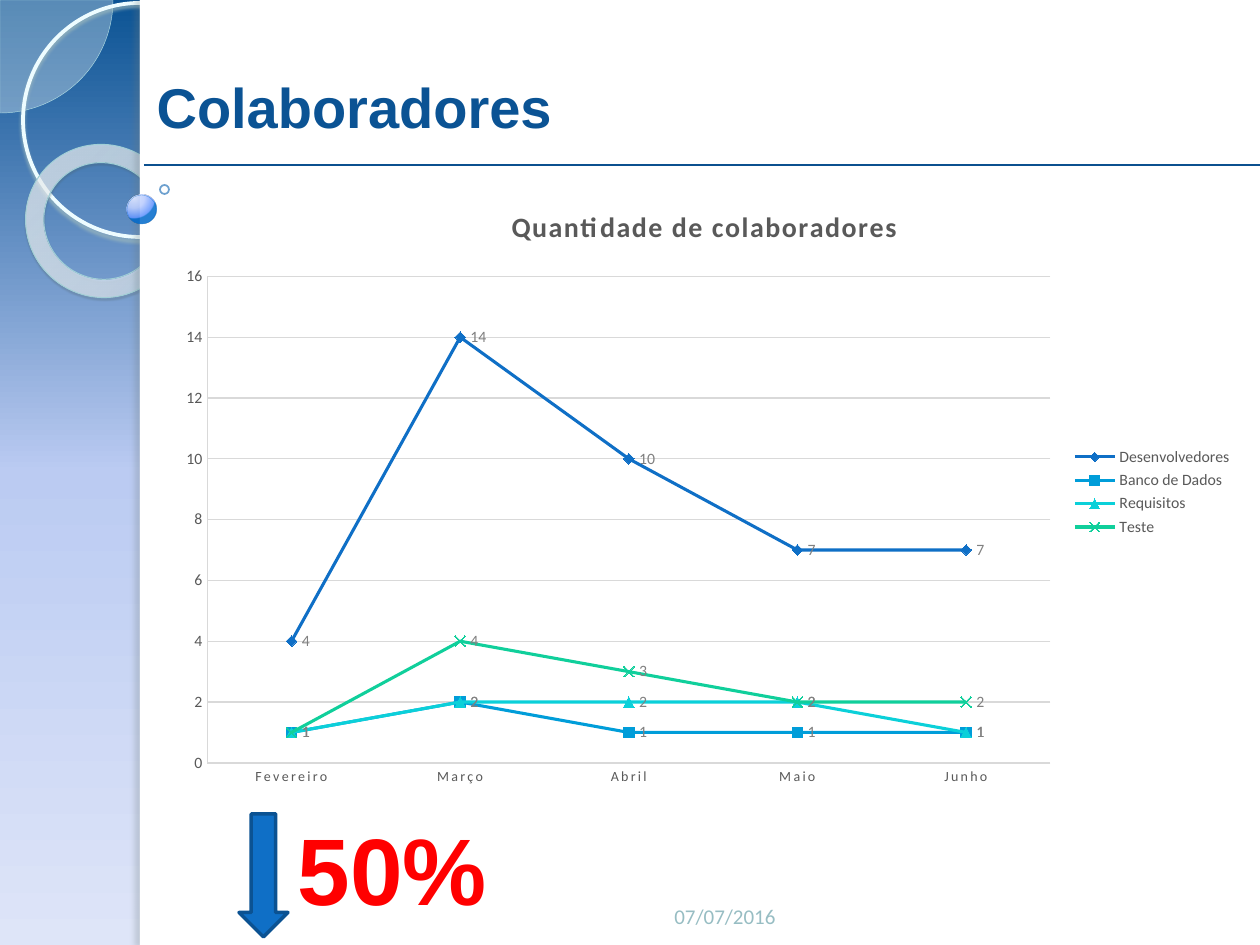
from dataclasses import dataclass

from pptx import Presentation
from pptx.chart.data import CategoryChartData
from pptx.dml.color import RGBColor
from pptx.enum.chart import (XL_CHART_TYPE, XL_LABEL_POSITION, XL_LEGEND_POSITION,
                             XL_MARKER_STYLE, XL_TICK_MARK)
from pptx.enum.shapes import MSO_CONNECTOR, MSO_SHAPE
from pptx.enum.text import MSO_ANCHOR, MSO_AUTO_SIZE, PP_ALIGN
from pptx.oxml import parse_xml
from pptx.oxml.ns import nsdecls, qn
from pptx.util import Pt

EMU_PER_PX = 914400 / 126


@dataclass(frozen=True)
class Theme:
    heading_font: str = "Arial"
    body_font: str = "Calibri"
    navy: str = "0B5394"
    blue: str = "0F6FC6"
    outline: str = "0B5292"
    white: str = "FFFFFF"
    red: str = "FF0000"
    date: str = "97BDC3"
    grey: str = "595959"
    label: str = "808080"
    grid: str = "D9D9D9"
    title_size: int = 32
    figure_size: int = 54
    chart_title_size: int = 16
    date_size: int = 12
    chart_size: int = 9
    category_size: int = 8


def px(length):
    return round(length * EMU_PER_PX)


def assign(target, values):
    for name, value in values.items():
        setattr(target, name, value)


def style_font(font, face, size, color, bold=False):
    assign(font, {"name": face, "size": Pt(size), "bold": bold})
    font.color.rgb = RGBColor.from_string(color)


def style_line(line, color, width):
    line.color.rgb = RGBColor.from_string(color)
    line.width = Pt(width)


def fade(colors, percent):
    for color in colors:
        color.append(parse_xml(f'<a:alpha {nsdecls("a")} val="{percent * 1000}"/>'))


def set_gradient(properties, stops, direction):
    marks = "".join(
        f'<a:gs pos="{pos * 1000}"><a:srgbClr val="{color}">'
        f'<a:alpha val="{alpha * 1000}"/></a:srgbClr></a:gs>'
        for pos, color, alpha in stops)
    gradient = parse_xml(f'<a:gradFill {nsdecls("a")} rotWithShape="1">'
                         f'<a:gsLst>{marks}</a:gsLst>{direction}</a:gradFill>')
    properties.replace(properties.find(qn("a:solidFill")), gradient)


def radial(left, top, right, bottom):
    return (f'<a:path path="circle"><a:fillToRect l="{left * 1000}" t="{top * 1000}" '
            f'r="{right * 1000}" b="{bottom * 1000}"/></a:path>')


class SlideBuilder:
    def __init__(self, deck, theme):
        self.theme = theme
        self.slide = deck.slides.add_slide(deck.slide_layouts[5])

    def background(self, stops):
        self.slide.background.fill.solid()
        properties = self.slide._element.xpath("p:cSld/p:bg/p:bgPr")[0]
        set_gradient(properties, stops, '<a:lin ang="5400000" scaled="0"/>')

    def shape(self, kind, box, fill=None, alpha=None, gradient=None, line=None,
              line_alpha=None, shadow=None, adjust=(), rotation=0):
        shape = self.slide.shapes.add_shape(kind, *map(px, box))
        shape.rotation = rotation
        shape.shadow.inherit = False
        for index, value in enumerate(adjust):
            shape.adjustments[index] = value
        properties = shape._element.spPr
        if fill or gradient:
            shape.fill.solid()
            shape.fill.fore_color.rgb = RGBColor.from_string(fill or self.theme.white)
        else:
            shape.fill.background()
        if alpha:
            fade(properties.xpath("a:solidFill/a:srgbClr"), alpha)
        if gradient:
            set_gradient(properties, *gradient)
        if line:
            style_line(shape.line, *line)
        else:
            shape.line.fill.background()
        if line_alpha:
            fade(properties.xpath("a:ln/a:solidFill/a:srgbClr"), line_alpha)
        if shadow:
            color, opacity, blur, distance, angle = shadow
            properties.find(qn("a:effectLst")).append(parse_xml(
                f'<a:outerShdw {nsdecls("a")} blurRad="{Pt(blur)}" dist="{Pt(distance)}" '
                f'dir="{angle * 60000}" algn="tl" rotWithShape="0"><a:srgbClr val="{color}">'
                f'<a:alpha val="{opacity * 1000}"/></a:srgbClr></a:outerShdw>'))

    def rule(self, left, right, y, color, width):
        rule = self.slide.shapes.add_connector(
            MSO_CONNECTOR.STRAIGHT, px(left), px(y), px(right), px(y))
        style_line(rule.line, color, width)
        rule._element.spPr.append(parse_xml(f'<a:effectLst {nsdecls("a")}/>'))

    def set_words(self, holder, words, font, align, frame_format):
        frame = holder.text_frame
        frame.text = words
        assign(frame, frame_format)
        frame.paragraphs[0].alignment = align
        style_font(frame.paragraphs[0].runs[0].font, *font)

    def title(self, words, box):
        title = self.slide.shapes.title
        assign(title, dict(zip(("left", "top", "width", "height"), map(px, box))))
        self.slide.shapes._spTree.append(title._element)
        self.set_words(title, words,
                       (self.theme.heading_font, self.theme.title_size, self.theme.navy, True),
                       PP_ALIGN.LEFT, {"vertical_anchor": MSO_ANCHOR.MIDDLE,
                                       "auto_size": MSO_AUTO_SIZE.SHAPE_TO_FIT_TEXT})

    def text(self, words, box, font, align, **frame_format):
        holder = self.slide.shapes.add_textbox(*map(px, box))
        self.set_words(holder, words, font, align, frame_format)

    def line_chart(self, heading, box, months, teams, plot):
        theme = self.theme
        data = CategoryChartData()
        data.categories = months
        for team, counts, *_ in teams:
            data.add_series(team, counts)
        chart = self.slide.shapes.add_chart(
            XL_CHART_TYPE.LINE_MARKERS, *map(px, box), data).chart
        small = (theme.body_font, theme.chart_size, theme.grey)
        style_font(chart.font, *small)

        chart.has_title = True
        chart.chart_title.text_frame.text = heading
        heading_run = chart.chart_title.text_frame.paragraphs[0].runs[0]
        style_font(heading_run.font, theme.body_font, theme.chart_title_size, theme.grey, True)
        heading_run._r.get_or_add_rPr().set("spc", "100")

        chart.has_legend = True
        assign(chart.legend, {"position": XL_LEGEND_POSITION.RIGHT, "include_in_layout": False})
        style_font(chart.legend.font, *small)

        counts_axis, months_axis = chart.value_axis, chart.category_axis
        assign(counts_axis, {"minimum_scale": 0, "maximum_scale": 16, "major_unit": 2})
        style_line(counts_axis.major_gridlines.format.line, theme.grid, 0.75)
        for axis, size in ((counts_axis, theme.chart_size), (months_axis, theme.category_size)):
            axis.major_tick_mark = XL_TICK_MARK.NONE
            style_line(axis.format.line, theme.grid, 0.75)
            style_font(axis.tick_labels.font, theme.body_font, size, theme.grey)
        months_axis._element.xpath("c:txPr//a:defRPr")[0].set("spc", "120")

        chart.plots[0].vary_by_categories = False
        for series, (_, _, color, marker) in zip(chart.plots[0].series, teams):
            series.smooth = False
            style_line(series.format.line, color, 1.75)
            assign(series.marker, {"style": marker, "size": 6})
            style_line(series.marker.format.line, color, 0.75)
            if marker == XL_MARKER_STYLE.X:
                series.marker.format.fill.background()
            else:
                series.marker.format.fill.solid()
                series.marker.format.fill.fore_color.rgb = RGBColor.from_string(color)
            assign(series.data_labels, {"show_value": True, "position": XL_LABEL_POSITION.RIGHT})
            style_font(series.data_labels.font, theme.body_font, theme.chart_size, theme.label)

        area = chart._chartSpace.chart.plotArea
        for old in area.findall(qn("c:layout")):
            area.remove(old)
        sizes = "".join(f'<c:{key} val="{value}"/>' for key, value in zip("xywh", plot))
        area.insert(0, parse_xml(
            f'<c:layout {nsdecls("c")}><c:manualLayout><c:layoutTarget val="inner"/>'
            f'<c:xMode val="edge"/><c:yMode val="edge"/>{sizes}</c:manualLayout></c:layout>'))


def main():
    deck = Presentation()
    assign(deck, {"slide_width": px(1260), "slide_height": px(945)})
    theme = Theme()
    page = SlideBuilder(deck, theme)

    page.background([(0, theme.navy, 100), (50, "BBCBF2", 100), (100, "DEE5F8", 100)])
    page.shape(MSO_SHAPE.PIE, (-113, -113, 226, 226), fill="F8FEFF", alpha=33,
               line=("AFDBE2", 0.25), adjust=(0, 54.02))
    page.shape(MSO_SHAPE.OVAL, (23, 3, 234, 234), line=("EDFCFF", 2.15),
               shadow=("9CB9BE", 85, 2, 2, 90))
    page.shape(MSO_SHAPE.DONUT, (25, 145, 155, 152), line=("A1CFD6", 0.58),
               gradient=([(0, "F9FEFF", 70), (70, "FDFFFF", 55), (100, "9EF2FF", 60)],
                         radial(-408, -50, 508, 150)),
               shadow=("4B5E61", 35, 1, 1.2, 75), adjust=(0.12,), rotation=38.6)
    page.shape(MSO_SHAPE.RECTANGLE, (140, 0, 1120, 945), fill=theme.white)
    page.shape(MSO_SHAPE.RECTANGLE, (140, 0, 10, 945), fill=theme.white,
               shadow=("6C7A7C", 25, 3, 3, 180))
    page.shape(MSO_SHAPE.OVAL, (127, 195, 29, 29), line=("066AC6", 0.16), line_alpha=60,
               gradient=([(0, "DDE6FF", 95), (50, "BCCEFF", 90), (95, "6395FF", 88),
                          (100, "006BCB", 85)], radial(25, 12, 75, 88)))
    page.shape(MSO_SHAPE.OVAL, (160, 185, 9, 9), line=("0D62AF", 1), line_alpha=60)

    page.title("Colaboradores", (144, 66, 1052, 81))
    page.rule(144, 1260, 165, "0B508F", 0.75)
    page.text("07/07/2016", (494, 869, 294, 66),
              (theme.body_font, theme.date_size, theme.date), PP_ALIGN.RIGHT,
              vertical_anchor=MSO_ANCHOR.BOTTOM, word_wrap=True)
    page.line_chart(
        "Quantidade de colaboradores", (164, 184, 1081, 616),
        ["Fevereiro", "Março", "Abril", "Maio", "Junho"],
        [("Desenvolvedores", (4, 14, 10, 7, 7), theme.blue, XL_MARKER_STYLE.DIAMOND),
         ("Banco de Dados", (1, 2, 1, 1, 1), "009DD9", XL_MARKER_STYLE.SQUARE),
         ("Requisitos", (1, 2, 2, 2, 1), "0BD0D9", XL_MARKER_STYLE.TRIANGLE),
         ("Teste", (1, 4, 3, 2, 2), "10CF9B", XL_MARKER_STYLE.X)],
        plot=(0.04, 0.15, 0.78, 0.79))
    page.shape(MSO_SHAPE.DOWN_ARROW, (239, 814, 49, 123), fill=theme.blue,
               line=(theme.outline, 2))
    page.text("50%", (284, 805, 217, 127),
              (theme.heading_font, theme.figure_size, theme.red, True), PP_ALIGN.CENTER,
              word_wrap=False, auto_size=MSO_AUTO_SIZE.SHAPE_TO_FIT_TEXT)
    deck.save("out.pptx")


if __name__ == "__main__":
    main()
